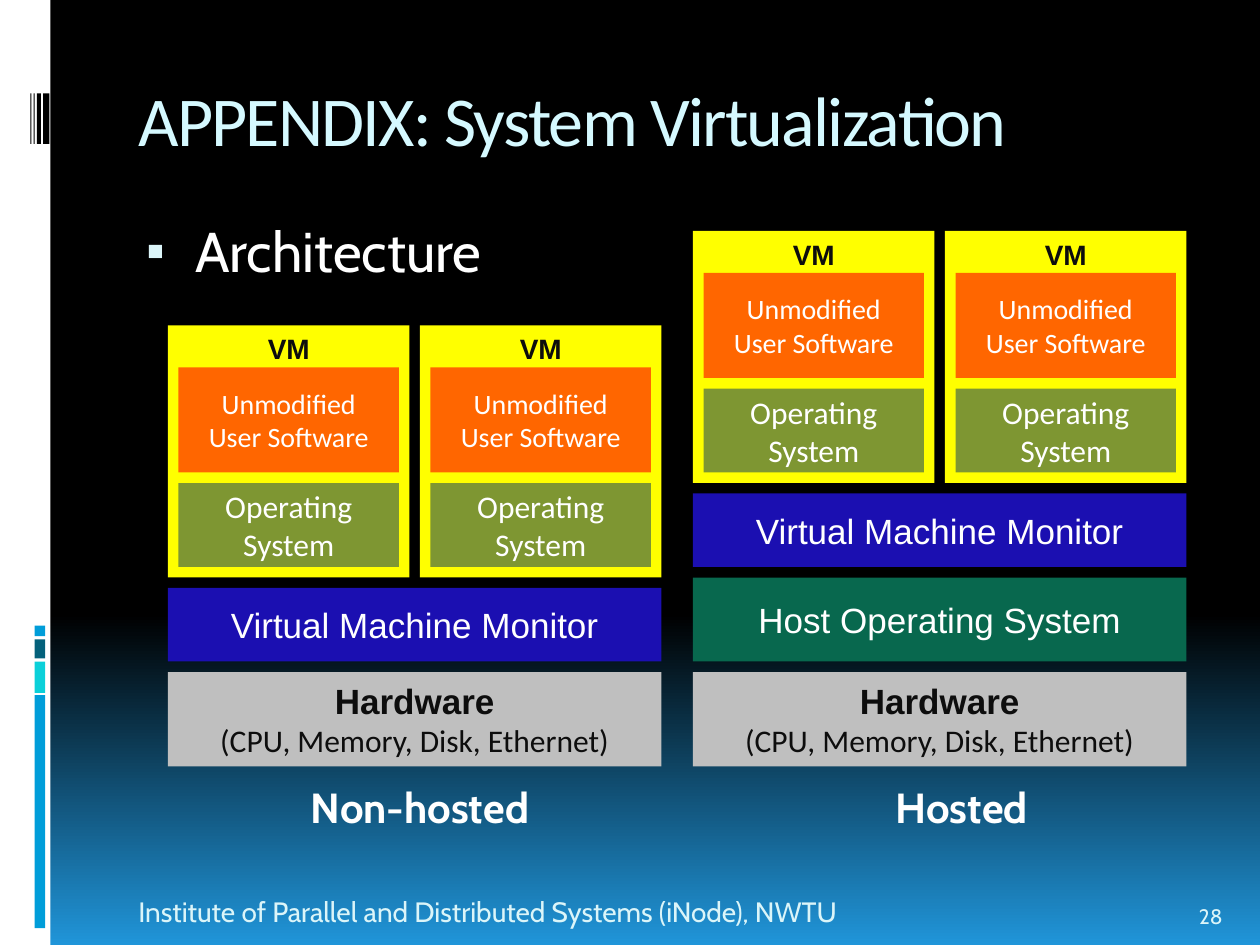
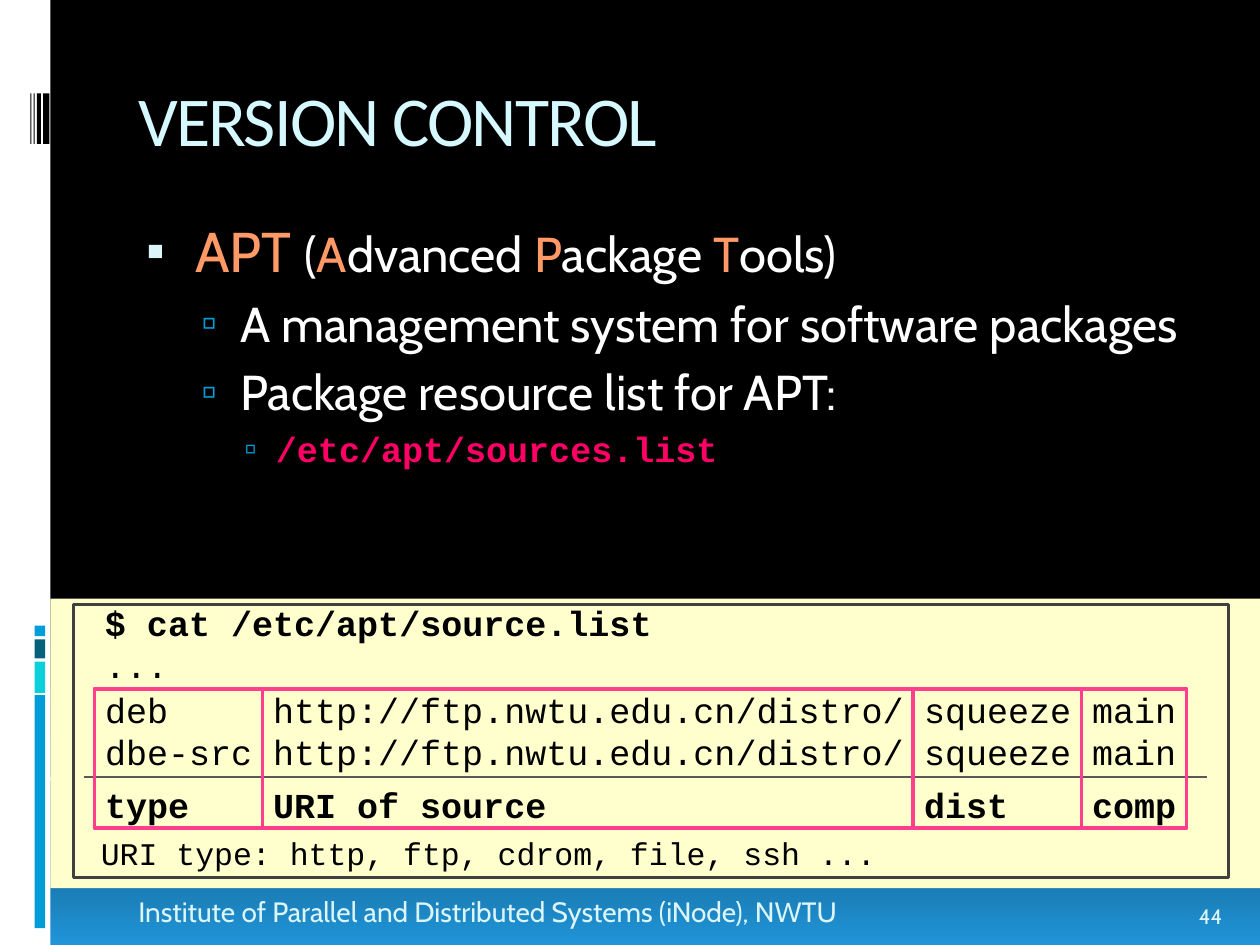
from itertools import accumulate

from lxml import etree
from pptx import Presentation
from pptx import util as u
from pptx.dml.color import RGBColor
from pptx.enum import shapes, text
from pptx.oxml.ns import qn

PX = 7620  # 120 px to the inch
C = {
    "white": "FFFFFF", "black": "000000", "ink": "0D0D0D", "sky": "2095D9",
    "title": "D5F9FF", "pale": "DBF5F9", "blue": "009DD9", "cyan": "0BD0D9",
    "teal": "04617B", "vm": "FFFF00", "software": "FF6600", "os": "7E9632",
    "monitor": "1B0FB1", "host": "08684E", "hardware": "BFBFBF",
    "accent": "FF9966", "file": "FF0066", "paper": "FFFFCD",
    "frame": "404040", "rule": "595959", "column": "FF3F8D",
}
FOOTER = "Institute of Parallel and Distributed Systems (iNode), NWTU"
SOURCE_URL = "http://ftp.nwtu.edu.cn/distro/"
TOP, MIDDLE, BOTTOM = (text.MSO_ANCHOR.TOP, text.MSO_ANCHOR.MIDDLE,
                       text.MSO_ANCHOR.BOTTOM)
CENTER = text.PP_ALIGN.CENTER
# Bullet levels: left margin px, hanging px, space before pt, sign, colour, size %
LEVELS = [
    (54, 46, 7, "▪", "pale", 95),
    (97, 37, 5.6, "▫", "blue", 90),
    (131, 30, 4, "▫", "blue", 100),
]


def rgb(name):
    return RGBColor.from_string(C[name])


def px(*values):
    return [u.Emu(v * PX) for v in values]


def run(txt, font, size, color, bold=False):
    return txt, font, size, color, bold


def write(sp, paras, align=None, anchor=TOP, wrap=True, insets=(12, 6)):
    """Fill a shape with paragraphs, each a list of runs."""
    tf = sp.text_frame
    tf.word_wrap = wrap
    tf.vertical_anchor = anchor
    tf.margin_left, tf.margin_top = px(*insets)
    tf.margin_right, tf.margin_bottom = px(12, 6)
    for i, runs in enumerate(paras):
        p = tf.paragraphs[0] if i == 0 else tf.add_paragraph()
        p.alignment = align or text.PP_ALIGN.LEFT
        for txt, font, size, color, bold in runs:
            r = p.add_run()
            r.text = txt
            r.font.name, r.font.size, r.font.bold = font, u.Pt(size), bold
            r.font.color.rgb = rgb(color)
    return tf


def label(slide, box, *paras, **style):
    return write(slide.shapes.add_textbox(*px(*box)), paras, **style)


def rect(slide, box, fill=None, line=None, width=1):
    sp = slide.shapes.add_shape(shapes.MSO_SHAPE.RECTANGLE, *px(*box))
    sp.shadow.inherit = False
    if fill:
        sp.fill.solid()
        sp.fill.fore_color.rgb = rgb(fill)
    else:
        sp.fill.background()
    if line:
        sp.line.color.rgb = rgb(line)
        sp.line.width = u.Pt(width)
    else:
        sp.line.fill.background()
    return sp


def block(slide, box, fill, *paras, anchor=MIDDLE):
    write(rect(slide, box, fill), paras, CENTER, anchor)


def add_bullet(p, level):
    left, hang, before, sign, color, size = LEVELS[level]
    p.space_before = u.Pt(before)
    pPr = p._p.get_or_add_pPr()
    pPr.set("marL", str(left * PX))
    pPr.set("indent", str(-hang * PX))
    clr = etree.SubElement(pPr, qn("a:buClr"))
    etree.SubElement(clr, qn("a:srgbClr"), val=C[color])
    etree.SubElement(pPr, qn("a:buSzPct"), val=str(size * 1000))
    etree.SubElement(pPr, qn("a:buFont"), typeface="Arial")
    etree.SubElement(pPr, qn("a:buChar"), char=sign)


def bullets(slide, box, items):
    tf = label(slide, box, *[runs for _, runs in items])
    for p, (level, _) in zip(tf.paragraphs, items):
        add_bullet(p, level)


def side_band(slide):
    rect(slide, (0, 0, 48, 900), "white")
    for y, h, color in [(662, 222, "blue"), (630, 30, "cyan"),
                        (609, 18, "teal"), (596, 10, "blue")]:
        rect(slide, (33, y, 10, h), color)
    for x, w in [(41, 6), (35, 4), (32, 1), (29, 1)]:
        rect(slide, (x, 89, w, 48), "black")


def base_slide(prs, title, number):
    """Background, side band, title, footer and slide number."""
    slide = prs.slides.add_slide(prs.slide_layouts[6])
    fill = slide.background.fill
    fill.gradient()
    fill.gradient_angle = 270
    for stop, pos, color in zip(fill.gradient_stops, (0.65, 1), ("black", "sky")):
        stop.position = pos
        stop.color.rgb = rgb(color)
    side_band(slide)
    tf = label(slide, (120, 67, 1020, 120),
               [run(title, "Calibri", 40, "title")])
    tf.paragraphs[0].runs[0].font._element.set("spc", "-100")
    label(slide, (120, 842, 730, 48),
          [run(FOOTER, "Cabin", 16, "pale")], anchor=BOTTOM)
    label(slide, (1130, 842, 60, 48),
          [run(str(number), "Cabin", 12, "pale")], anchor=BOTTOM)
    return slide


# Virtualization stacks
GAP, VM_W, VM_H = 10, 230, 240
MONITOR = (70, "monitor", [run("Virtual Machine Monitor", "Arial", 20, "white")])
HOST = (80, "host", [run("Host Operating System", "Arial", 20, "white")])
HARDWARE = (90, "hardware", [run("Hardware", "Arial", 20, "ink", True)],
            [run("(CPU, Memory, Disk, Ethernet)", "Calibri", 18, "ink")])


def virtual_machine(slide, x, y):
    block(slide, (x, y, VM_W, VM_H), "vm",
          [run("VM", "Arial", 16, "ink", True)], anchor=TOP)
    inner = VM_W - 2 * GAP
    block(slide, (x + GAP, y + 150, inner, 80), "os",
          [run("Operating System", "Calibri", 18, "white")])
    block(slide, (x + GAP, y + 40, inner, 100), "software",
          *[[run(line, "Calibri", 16, "white")]
            for line in ("Unmodified", "User Software")])


def stack(slide, x, bottom, layers, caption, caption_x):
    """Layers pile up from the bottom, with two machines on top."""
    y = bottom
    for h, fill, *paras in layers:
        y -= h
        block(slide, (x, y, 2 * VM_W + GAP, h), fill, *paras)
        y -= GAP
    for i in range(2):
        virtual_machine(slide, x + i * (VM_W + GAP), y - VM_H)
    label(slide, (caption_x, bottom + 8, 280, 60),
          [run(caption, "Cabin", 24, "white", True)], align=CENTER)


def architecture_slide(prs):
    slide = base_slide(prs, "APPENDIX: System Virtualization", 28)
    bullets(slide, (120, 200, 1020, 600),
            [(0, [run("Architecture", "Cabin", 32, "white")])])
    stack(slide, 160, 730, [HARDWARE, MONITOR], "Non-hosted", 260)
    stack(slide, 660, 730, [HARDWARE, HOST, MONITOR], "Hosted", 776)


# Package sources
def code(txt, bold=False, size=20):
    return [run(txt, "Courier New", size, "black", bold)]


def set_pitch(tf):
    for p in tf.paragraphs:
        p.line_spacing = u.Pt(24)


def source_listing(slide, x, y, w):
    """Terminal panel with the fields of a source line boxed."""
    command = rect(slide, (x, y, w, 174), "paper")
    set_pitch(write(command, [code("$ cat /etc/apt/source.list", True),
                              code("...")], insets=(52, 3)))
    note = rect(slide, (x, y + 170, w, 106), "paper")
    write(note, [code("URI type: http, ftp, cdrom, file, ssh ...", size=18)],
          insets=(48, 54))

    rule = slide.shapes.add_connector(
        shapes.MSO_CONNECTOR.STRAIGHT,
        *px(x + 32, y + 170, x + 1102, y + 170))
    rule.line.color.rgb = rgb("rule")
    rule.line.width = u.Pt(0.94)
    etree.SubElement(rule._element.spPr, qn("a:effectLst"))
    rect(slide, (x + 22, y + 6, 1100, 260), line="frame", width=1.5)

    widths = [160, 620, 160, 100]
    fields = [("deb", "dbe-src", "type"),
              (SOURCE_URL, SOURCE_URL, "URI of source"),
              ("squeeze", "squeeze", "dist"),
              ("main", "main", "comp")]
    lefts = accumulate(widths, initial=x + 42)
    for left, width, (first, second, name) in zip(lefts, widths, fields):
        sp = rect(slide, (left, y + 86, width, 133), line="column", width=2.25)
        tf = write(sp, [code(first), code(second), code(name, True)],
                   wrap=False, insets=(10, 0))
        set_pitch(tf)
        tf.paragraphs[2].space_before = u.Pt(6)


def version_control_slide(prs):
    slide = base_slide(prs, "VERSION CONTROL", 44)
    heading = [run("APT ", "Cabin", 32, "accent"), run("(", "Cabin", 28, "white")]
    for initial, rest in [("A", "dvanced "), ("P", "ackage "), ("T", "ools)")]:
        heading += [run(initial, "Cabin", 28, "accent"),
                    run(rest, "Cabin", 28, "white")]
    bullets(slide, (120, 200, 1040, 300), [
        (0, heading),
        (1, [run("A management system for software packages",
                 "Cabin", 28, "white")]),
        (1, [run("Package resource list for APT:", "Cabin", 28, "white")]),
        (2, [run("/etc/apt/sources.list", "Courier New", 20, "file", True)]),
    ])
    source_listing(slide, 48, 570, 1152)


def main():
    prs = Presentation()
    prs.slide_width, prs.slide_height = px(1200, 900)
    architecture_slide(prs)
    version_control_slide(prs)
    prs.save("out.pptx")


if __name__ == "__main__":
    main()
